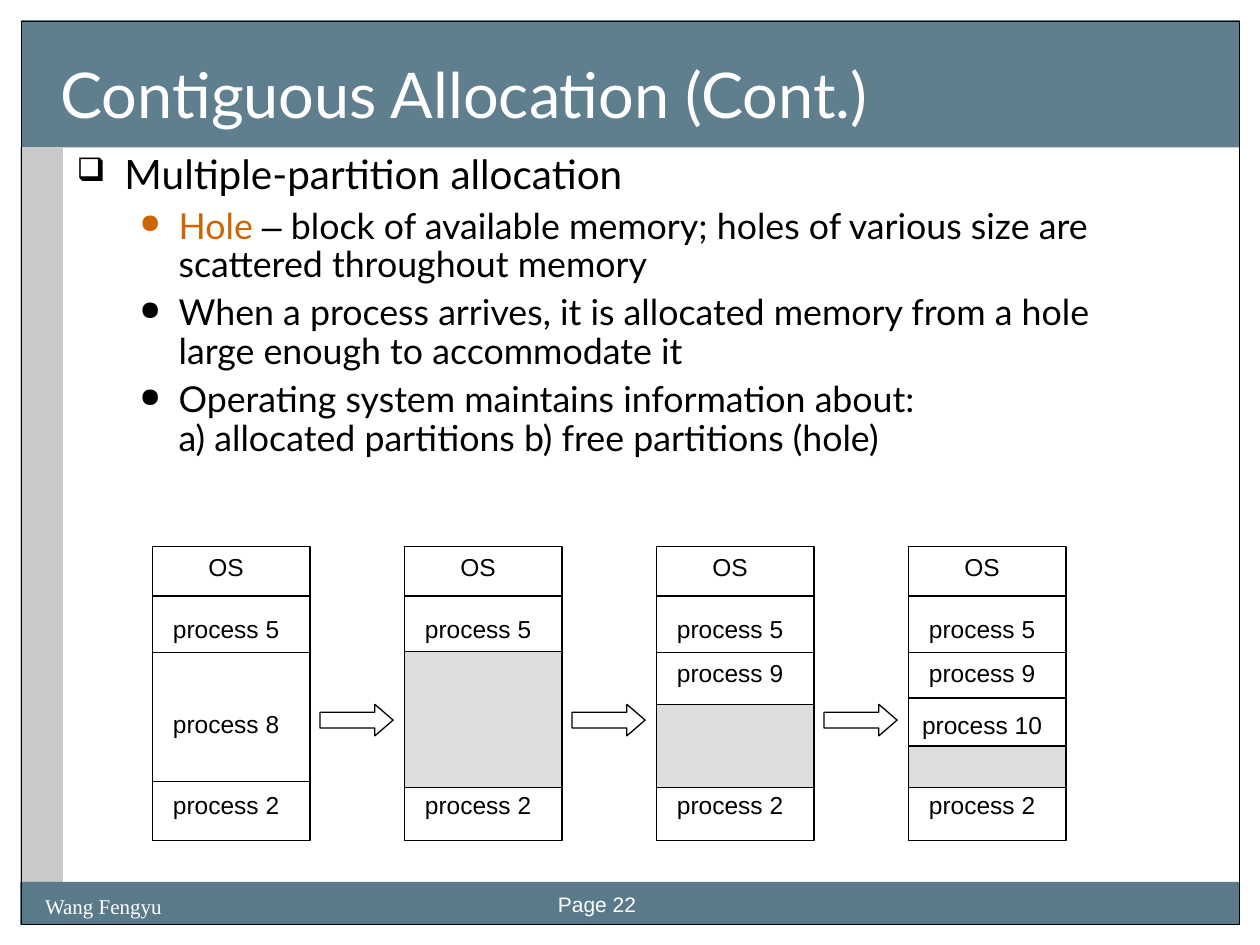
from dataclasses import dataclass

from lxml import etree
from pptx import Presentation
from pptx.dml.color import RGBColor
from pptx.enum.shapes import MSO_CONNECTOR, MSO_SHAPE
from pptx.enum.text import MSO_ANCHOR, PP_ALIGN
from pptx.oxml.ns import qn
from pptx.util import Emu, Inches, Pt

RECTANGLE, RIGHT_ARROW = MSO_SHAPE.RECTANGLE, MSO_SHAPE.RIGHT_ARROW
STRAIGHT = MSO_CONNECTOR.STRAIGHT
LEFT, CENTER = PP_ALIGN.LEFT, PP_ALIGN.CENTER
TOP, MIDDLE, BOTTOM = MSO_ANCHOR.TOP, MSO_ANCHOR.MIDDLE, MSO_ANCHOR.BOTTOM

COLORS = {
    "band": "3E6376",
    "sidebar": "C9C9C9",
    "hole": "DDDDDD",
    "accent": "CC6600",
    "black": "000000",
    "white": "FFFFFF",
}
SLIDE_WIDTH, SLIDE_HEIGHT = Inches(10), Inches(7.5)
GRID_COLUMNS, GRID_ROWS = 100, 75
LINE_WIDTH = Pt(0.75)

MEMORY_LEFT, MEMORY_STEP, MEMORY_WIDTH = 12.1, 20, 12.5
MEMORY_TOP, MEMORY_HEIGHT = 43.4, 23.3
DIVIDER_ROWS = (47.3, 51.8, 62)
HOLE_BOTTOM = 62.5
LABEL_WIDTH, LABEL_HEIGHT = 11.7, 3.4
ARROW_GAP = 0.8


@dataclass(frozen=True)
class Box:
    column: float
    row: float
    columns: float
    rows: float

    def emu(self) -> tuple[Emu, Emu, Emu, Emu]:
        return (
            across(self.column), down(self.row),
            across(self.columns), down(self.rows),
        )


@dataclass(frozen=True)
class Run:
    text: str
    color: str = "black"
    font: str = "Lato"


@dataclass(frozen=True)
class Bullet:
    symbol: str
    percent: int
    margin: float
    hanging: float
    level: int
    size: float
    before: float


@dataclass(frozen=True)
class Memory:
    labels: tuple[tuple[str, float], ...]
    hole_top: float | None = None
    extra_divider: float | None = None


SECTION = Bullet("❑", 80, 0.38, 0.38, 0, 23.1, 0)
POINT = Bullet("●", 75, 0.81, 0.31, 1, 20.4, 5.5)

CONTENT = (
    (SECTION, (Run("Multiple-partition allocation"),)),
    (POINT, (
        Run("Hole ", "accent"),
        Run("–", font="Arial"),
        Run(" block of available memory; holes of various size are scattered throughout memory"),
    )),
    (POINT, (Run("When a process arrives, it is allocated memory from a hole large enough to accommodate it"),)),
    (POINT, (Run("Operating system maintains information about:\na) allocated partitions b) free partitions (hole)"),)),
)

COMMON_LABELS = (("OS", 43.3), ("process 5", 48.2), ("process 2", 62.2))
MEMORIES = (
    Memory((("process 8", 55.7),)),
    Memory((), hole_top=51.7),
    Memory((("process 9", 51.7),), hole_top=55.9),
    Memory((("process 9", 51.7), ("process 10", 55.8)), hole_top=59.2, extra_divider=55.4),
)


def across(columns: float) -> Emu:
    return Emu(round(SLIDE_WIDTH * columns / GRID_COLUMNS))


def down(rows: float) -> Emu:
    return Emu(round(SLIDE_HEIGHT * rows / GRID_ROWS))


def color_of(name: str) -> RGBColor:
    return RGBColor.from_string(COLORS[name])


def add_block(slide, box: Box, *, fill: str | None = None, opacity: int = 100,
              outlined: bool = False, kind=RECTANGLE):
    shape = slide.shapes.add_shape(kind, *box.emu())
    shape.shadow.inherit = False
    if fill:
        shape.fill.solid()
        shape.fill.fore_color.rgb = color_of(fill)
        if opacity < 100:
            color = shape.fill._xPr.find(f".//{qn('a:srgbClr')}")
            etree.SubElement(color, qn("a:alpha"), val=str(opacity * 1000))
    else:
        shape.fill.background()
    if outlined:
        shape.line.color.rgb = color_of("black")
        shape.line.width = LINE_WIDTH
    else:
        shape.line.fill.background()
    return shape


def add_divider(slide, column: float, row: float) -> None:
    left, top = across(column), down(row)
    connector = slide.shapes.add_connector(STRAIGHT, left, top, left + across(MEMORY_WIDTH), top)
    connector.line.color.rgb = color_of("black")
    connector.line.width = LINE_WIDTH
    etree.SubElement(connector._element.spPr, qn("a:effectLst"))


def add_runs(paragraph, runs: tuple[Run, ...], size: float) -> None:
    for part in runs:
        for index, line in enumerate(part.text.split("\n")):
            if index:
                paragraph.add_line_break()
            run = paragraph.add_run()
            run.text = line
            run.font.name = part.font
            run.font.size = Pt(size)
            run.font.color.rgb = color_of(part.color)


def add_frame(slide, box: Box, anchor=TOP):
    frame = slide.shapes.add_textbox(*box.emu()).text_frame
    frame.word_wrap = True
    frame.vertical_anchor = anchor
    return frame


def add_text(slide, box: Box, text: str, *, size: float, font: str = "Arial",
             color: str = "black", align=LEFT, anchor=TOP):
    frame = add_frame(slide, box, anchor)
    paragraph = frame.paragraphs[0]
    paragraph.alignment = align
    add_runs(paragraph, (Run(text, color, font),), size)
    return frame


def set_bullet(paragraph, bullet: Bullet, color: str) -> None:
    properties = paragraph._p.get_or_add_pPr()
    properties.set("marL", str(Inches(bullet.margin)))
    properties.set("indent", str(-Inches(bullet.hanging)))
    bullet_color = etree.SubElement(properties, qn("a:buClr"))
    etree.SubElement(bullet_color, qn("a:srgbClr"), val=COLORS[color])
    etree.SubElement(properties, qn("a:buSzPct"), val=str(bullet.percent * 1000))
    etree.SubElement(properties, qn("a:buChar"), char=bullet.symbol)


def add_content(slide) -> None:
    frame = add_frame(slide, Box(5.1, 11.8, 88.7, 27.9))
    for index, (bullet, runs) in enumerate(CONTENT):
        paragraph = frame.add_paragraph() if index else frame.paragraphs[0]
        set_bullet(paragraph, bullet, runs[0].color)
        paragraph.level = bullet.level
        paragraph.line_spacing = 0.9
        paragraph.space_before = Pt(bullet.before)
        add_runs(paragraph, runs, bullet.size)


def add_memory(slide, memory: Memory, column: float) -> None:
    add_block(slide, Box(column, MEMORY_TOP, MEMORY_WIDTH, MEMORY_HEIGHT), fill="white", outlined=True)
    for row in DIVIDER_ROWS:
        add_divider(slide, column, row)
    if memory.hole_top:
        hole = Box(column, memory.hole_top, MEMORY_WIDTH, HOLE_BOTTOM - memory.hole_top)
        add_block(slide, hole, fill="hole", outlined=True)
    if memory.extra_divider:
        add_divider(slide, column, memory.extra_divider)
    for text, row in COMMON_LABELS + memory.labels:
        add_text(slide, Box(column, row, LABEL_WIDTH, LABEL_HEIGHT), text,
                 size=14, align=CENTER, anchor=MIDDLE)


def add_arrow(slide, memory_column: float) -> None:
    column = memory_column + MEMORY_WIDTH + ARROW_GAP
    arrow = add_block(slide, Box(column, 55.9, 5.8, 2.5), fill="white", outlined=True, kind=RIGHT_ARROW)
    arrow.adjustments[1] = 0.58


def main() -> None:
    presentation = Presentation()
    presentation.slide_width, presentation.slide_height = SLIDE_WIDTH, SLIDE_HEIGHT
    slide = presentation.slides.add_slide(presentation.slide_layouts[6])

    add_block(slide, Box(1.7, 1.6, 96.7, 10.1), fill="band", opacity=82)
    add_block(slide, Box(1.6, 11.7, 3.4, 58.3), fill="sidebar")
    add_block(slide, Box(1.6, 70, 96.8, 3.4), fill="band", opacity=85)
    add_block(slide, Box(1.7, 1.7, 96.7, 71.7), outlined=True)

    add_text(slide, Box(2.6, 70.4, 16.7, 2.7), "Wang Fengyu", size=12, font="Times New Roman", color="white")
    add_text(slide, Box(43.3, 70.3, 15, 2.7), "Page 22", size=12, color="white")
    title = add_text(slide, Box(1.8, 1.7, 96.7, 10), "Contiguous Allocation (Cont.)",
                     size=36, font="Lato", color="white", anchor=BOTTOM)
    title.margin_left, title.margin_bottom = across(3), down(1.3)
    add_content(slide)

    for index, memory in enumerate(MEMORIES):
        column = MEMORY_LEFT + index * MEMORY_STEP
        add_memory(slide, memory, column)
        if index < len(MEMORIES) - 1:
            add_arrow(slide, column)

    presentation.save("out.pptx")


if __name__ == "__main__":
    main()
